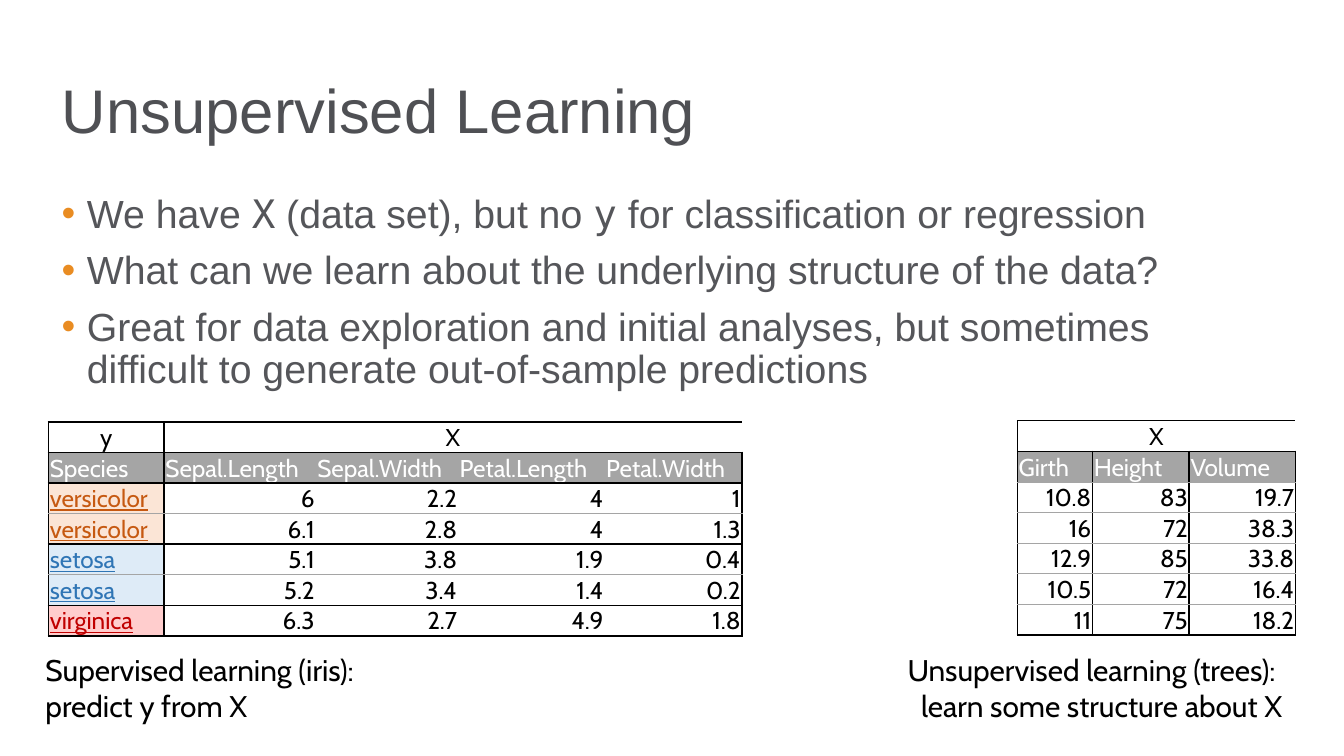
import pptx
import pptx.util
import pptx.dml.color
import pptx.enum.text
import pptx.oxml.ns
import lxml.etree

Pt = pptx.util.Pt
RGBColor = pptx.dml.color.RGBColor
ALIGN = pptx.enum.text.PP_ALIGN
ANCHOR = pptx.enum.text.MSO_ANCHOR
AUTO_SIZE = pptx.enum.text.MSO_AUTO_SIZE
qn = pptx.oxml.ns.qn

BLACK = RGBColor(0x00, 0x00, 0x00)
WHITE = RGBColor(0xFF, 0xFF, 0xFF)
GRAY = RGBColor(0xA5, 0xA5, 0xA5)
TITLE_GRAY = RGBColor(0x4F, 0x50, 0x54)
BODY_GRAY = RGBColor(0x55, 0x56, 0x5A)
ORANGE = RGBColor(0xE9, 0x8C, 0x22)

SPECIES_COLORS = {
    "versicolor": (RGBColor(0xC6, 0x59, 0x11), RGBColor(0xFB, 0xE5, 0xD6)),
    "setosa": (RGBColor(0x2F, 0x75, 0xB5), RGBColor(0xDE, 0xEB, 0xF7)),
    "virginica": (RGBColor(0xC0, 0x00, 0x00), RGBColor(0xFF, 0xCD, 0xCD)),
}

TITLE = "Unsupervised Learning"
SANS, MONO, CABIN = "Arial", "DejaVu Sans Mono", "Cabin"
BULLETS = [
    [("We have ", SANS), ("X", MONO), (" (data set), but no ", SANS), ("y", MONO),
     (" for classification or regression", SANS)],
    [("What can we learn about the underlying structure of the data?", SANS)],
    [("Great for data exploration and initial analyses, but sometimes "
      "difficult to generate out-of-sample predictions", SANS)],
]

TABLES = [
    {
        "left": 26, "top": 226, "widths": [61.9, 81.4, 76.3, 78.5, 73.4],
        "groups": [("y", 1), ("X", 4)],
        "rows": [
            ["Species", "Sepal.Length", "Sepal.Width", "Petal.Length", "Petal.Width"],
            ["versicolor", "6", "2.2", "4", "1"],
            ["versicolor", "6.1", "2.8", "4", "1.3"],
            ["setosa", "5.1", "3.8", "1.9", "0.4"],
            ["setosa", "5.2", "3.4", "1.4", "0.2"],
            ["virginica", "6.3", "2.7", "4.9", "1.8"],
        ],
        "column_lines": {0, 1, 5}, "thin_lines": {3, 5}, "group_line": 1,
    },
    {
        "left": 545, "top": 225.5, "widths": [40.3, 51.8, 56.9],
        "groups": [("X", 3)],
        "rows": [
            ["Girth", "Height", "Volume"],
            ["10.8", "83", "19.7"],
            ["16", "72", "38.3"],
            ["12.9", "85", "33.8"],
            ["10.5", "72", "16.4"],
            ["11", "75", "18.2"],
        ],
        "column_lines": {0, 1, 2, 3}, "thin_lines": {2, 3, 4, 5, 6}, "group_line": 0.5,
    },
]
ROW_HEIGHT = 15.2

CAPTIONS = [
    (17.3, 285, ALIGN.LEFT, ["Supervised learning (iris):", "predict y from X"]),
    (360.7, 333.4, ALIGN.RIGHT,
     ["Unsupervised learning (trees): ", "learn some structure about X"]),
]


def style(span, font, size, color):
    span.font.name = font
    span.font.size = Pt(size)
    span.font.color.rgb = color


def add_bullet(para):
    properties = para._p.get_or_add_pPr()
    properties.set("marL", str(Pt(13.5)))
    properties.set("indent", str(-Pt(13.5)))
    color = lxml.etree.SubElement(properties, qn("a:buClr"))
    lxml.etree.SubElement(color, qn("a:srgbClr"), val=str(ORANGE))
    lxml.etree.SubElement(properties, qn("a:buFont"), typeface=SANS)
    lxml.etree.SubElement(properties, qn("a:buChar"), char="•")


def add_border(cell, side, line):
    width, color = line or (0, None)
    border = lxml.etree.SubElement(
        cell._tc.get_or_add_tcPr(), qn("a:ln" + side), w=str(Pt(width)))
    if line:
        fill = lxml.etree.SubElement(border, qn("a:solidFill"))
        lxml.etree.SubElement(fill, qn("a:srgbClr"), val=str(color))
    else:
        lxml.etree.SubElement(border, qn("a:noFill"))


def add_borders(cell, row, column, data, group_edges):
    def vertical(edge):
        if row == 0:
            return (data["group_line"], BLACK) if edge in group_edges else None
        return (1, BLACK) if edge in data["column_lines"] else None

    def horizontal(edge):
        if edge in data["thin_lines"]:
            return 0.5, GRAY
        return (data["group_line"] if edge == 0 else 1), BLACK

    add_border(cell, "L", vertical(column))
    add_border(cell, "R", vertical(column + 1))
    add_border(cell, "T", horizontal(row))
    add_border(cell, "B", horizontal(row + 1))


def fill_cell(cell, text, align, color, fill):
    cell.margin_left = cell.margin_right = cell.margin_top = Pt(0.75)
    cell.margin_bottom = 0
    cell.vertical_anchor = ANCHOR.BOTTOM
    if fill is None:
        cell.fill.background()
    else:
        cell.fill.solid()
        cell.fill.fore_color.rgb = fill
    para = cell.text_frame.paragraphs[0]
    para.text = text
    para.alignment = align
    para.font.size = Pt(13)
    for span in para.runs:
        style(span, CABIN, 13, color)
        span.font.underline = text in SPECIES_COLORS


def add_data_table(page, data):
    top_row, edges = [], [0]
    for label, count in data["groups"]:
        top_row += [label] + [""] * (count - 1)
        edges.append(edges[-1] + count)
    grid = [top_row] + data["rows"]
    widths = data["widths"]
    frame = page.shapes.add_table(
        len(grid), len(widths), Pt(data["left"]), Pt(data["top"]),
        Pt(sum(widths)), Pt(ROW_HEIGHT * len(grid)))
    table = frame.table
    table.first_row = table.horz_banding = False
    for column, width in zip(table.columns, widths):
        column.width = Pt(width)
    for start, end in zip(edges, edges[1:]):
        if end - start > 1:
            table.cell(0, start).merge(table.cell(0, end - 1))
    for r, values in enumerate(grid):
        table.rows[r].height = Pt(ROW_HEIGHT)
        for c, text in enumerate(values):
            cell = table.cell(r, c)
            add_borders(cell, r, c, data, edges)
            if r == 0:
                look = ALIGN.CENTER, BLACK, None
            elif r == 1:
                look = ALIGN.LEFT, WHITE, GRAY
            elif text in SPECIES_COLORS:
                look = ALIGN.LEFT, *SPECIES_COLORS[text]
            else:
                look = ALIGN.RIGHT, BLACK, None
            fill_cell(cell, text, *look)


deck = pptx.Presentation()
deck.slide_width, deck.slide_height = Pt(720), Pt(405)
page = deck.slides.add_slide(deck.slide_layouts[5])

title = page.shapes.title
title.left, title.top, title.width, title.height = Pt(26), Pt(21.6), Pt(668), Pt(78.5)
title.text_frame.text = TITLE
title.text_frame.auto_size = AUTO_SIZE.NONE
title.text_frame.vertical_anchor = ANCHOR.MIDDLE
heading = title.text_frame.paragraphs[0]
heading.alignment = ALIGN.LEFT
heading.line_spacing = 0.9
style(heading.runs[0], SANS, 33, TITLE_GRAY)

body = page.shapes.add_textbox(Pt(26), Pt(100.8), Pt(668), Pt(280)).text_frame
body.word_wrap = True
for index, pieces in enumerate(BULLETS):
    para = body.add_paragraph() if index else body.paragraphs[0]
    para.line_spacing = 0.9
    para.space_before = Pt(7.5)
    add_bullet(para)
    for text, font in pieces:
        span = para.add_run()
        span.text = text
        style(span, font, 21, BODY_GRAY)

for data in TABLES:
    add_data_table(page, data)

for left, width, align, lines in CAPTIONS:
    caption = page.shapes.add_textbox(Pt(left), Pt(345.6), Pt(width), Pt(46)).text_frame
    caption.word_wrap = True
    caption.text = "\n".join(lines)
    for para in caption.paragraphs:
        para.alignment = align
        style(para.runs[0], CABIN, 16, BLACK)

deck.save("out.pptx")
